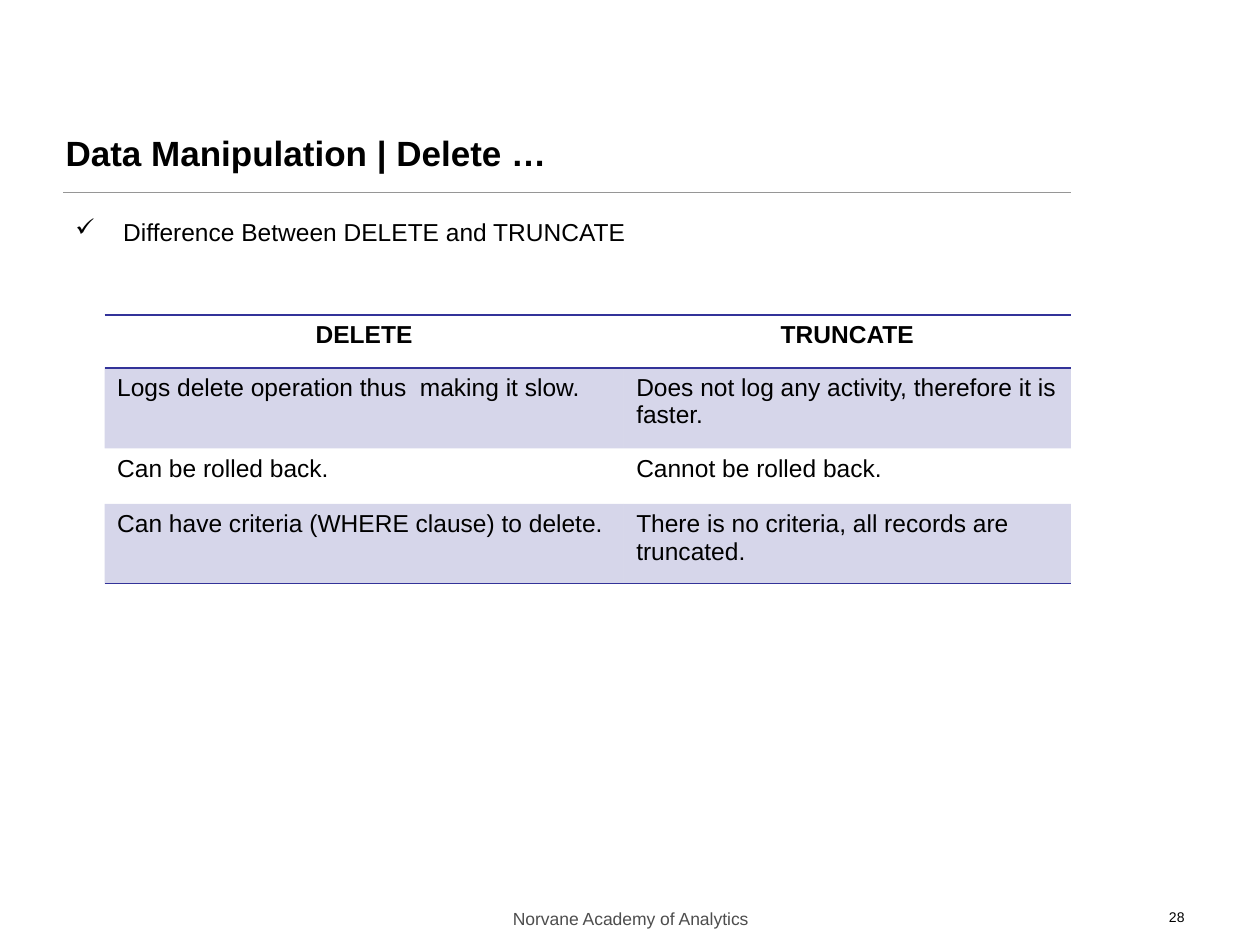
from dataclasses import dataclass

from lxml import etree
from pptx import Presentation
from pptx.dml.color import RGBColor
from pptx.enum.shapes import MSO_CONNECTOR
from pptx.enum.text import MSO_ANCHOR, MSO_AUTO_SIZE, PP_ALIGN
from pptx.oxml.ns import qn
from pptx.util import Inches, Pt

LEFT, MID, RIGHT = PP_ALIGN.LEFT, PP_ALIGN.CENTER, PP_ALIGN.RIGHT
TOP, MIDDLE = MSO_ANCHOR.TOP, MSO_ANCHOR.MIDDLE
STRAIGHT = MSO_CONNECTOR.STRAIGHT
FIXED = MSO_AUTO_SIZE.NONE
PLAIN = "{2D5ABB26-0587-4C30-8999-92F81FD0307C}"  # no style, no grid


@dataclass(frozen=True)
class Theme:
    font: str = "Arial"
    ink: str = "000000"
    soft: str = "4D4D4D"
    rule: str = "969696"
    accent: str = "333399"
    tint: int = 20  # percent opacity of shaded rows
    head: int = 20
    body: int = 14
    foot: int = 10
    page: int = 8


T = Theme()
COLS = [4.12, 3.55]
HEIGHTS = [0.42, 0.64, 0.44, 0.63]
ROWS = [
    ("DELETE", "TRUNCATE"),
    ("Logs delete operation thus  making it slow.",
     "Does not log any activity, therefore it is faster."),
    ("Can be rolled back.", "Cannot be rolled back."),
    ("Can have criteria (WHERE clause) to delete.",
     "There is no criteria, all records are truncated."),
]


def write(frame, text, size=T.body, color=T.ink, bold=False, align=LEFT):
    para = frame.paragraphs[0]
    para.alignment = align
    run = para.add_run()
    run.text = text
    font = run.font
    font.name, font.size, font.bold = T.font, Pt(size), bold
    font.color.rgb = RGBColor.from_string(color)
    return para


def add_text(slide, box, text, **form):
    frame = slide.shapes.add_textbox(*map(Inches, box)).text_frame
    frame.word_wrap = True
    return write(frame, text, **form)


def add_title(slide, box, text):
    title = slide.shapes.title
    title.left, title.top, title.width, title.height = map(Inches, box)
    frame = title.text_frame
    frame.auto_size = FIXED
    frame.vertical_anchor = MIDDLE
    write(frame, text, size=T.head, bold=True)


def add_rule(slide, left, top, width):
    line = slide.shapes.add_connector(
        STRAIGHT, Inches(left), Inches(top), Inches(left + width), Inches(top))
    line.line.color.rgb = RGBColor.from_string(T.rule)
    line.line.width = Pt(0.75)
    etree.SubElement(line._element.spPr, qn("a:effectLst"))


def add_point(slide, box, text, mark="✓", indent=0.38):
    para = add_text(slide, box, text)
    props = para._p.get_or_add_pPr()
    props.set("marL", str(Inches(indent)))
    props.set("indent", str(-Inches(indent)))
    etree.SubElement(props, qn("a:buChar"), char=mark)


def add_color(parent, color):
    fill = etree.SubElement(parent, qn("a:solidFill"))
    return etree.SubElement(fill, qn("a:srgbClr"), val=color)


def style_cell(cell, edges, shade):
    props = cell._tc.get_or_add_tcPr()
    for edge in edges:
        line = etree.SubElement(props, qn(f"a:{edge}"), w=str(Pt(1)))
        add_color(line, T.accent)
    if shade:
        color = add_color(props, T.accent)
        etree.SubElement(color, qn("a:alpha"), val=str(T.tint * 1000))
    else:
        etree.SubElement(props, qn("a:noFill"))


def add_grid(slide, left, top, rows):
    box = map(Inches, (left, top, sum(COLS), sum(HEIGHTS)))
    table = slide.shapes.add_table(len(rows), len(COLS), *box).table
    table.horz_banding = False
    table._tbl.tblPr.find(qn("a:tableStyleId")).text = PLAIN
    for col, width in zip(table.columns, COLS):
        col.width = Inches(width)
    for i, (row, height) in enumerate(zip(rows, HEIGHTS)):
        table.rows[i].height = Inches(height)
        first, last = i == 0, i == len(rows) - 1
        edges = ["lnT", "lnB"] if first else ["lnB"] if last else []
        for j, text in enumerate(row):
            cell = table.cell(i, j)
            cell.vertical_anchor = TOP
            write(cell.text_frame, text, bold=first,
                  align=MID if first else LEFT)
            style_cell(cell, edges, shade=i % 2 == 1)


def add_footer(slide, top, text, page):
    add_text(slide, (3.42, top, 3.17, 0.25), text,
             size=T.foot, color=T.soft, align=MID)
    add_text(slide, (7.17, top, 2.33, 0.25), page, size=T.page, align=RIGHT)


def main():
    deck = Presentation()
    deck.slide_width, deck.slide_height = Inches(10), Inches(7.5)
    slide = deck.slides.add_slide(deck.slide_layouts[5])
    add_rule(slide, 0.5, 1.53, 8)
    add_point(slide, (0.5, 1.67, 9, 0.4),
              "Difference Between DELETE and TRUNCATE")
    add_footer(slide, 7.16, "Norvane Academy of Analytics", "28")
    add_grid(slide, 0.83, 2.5, ROWS)
    add_title(slide, (0.42, 0.9, 6.92, 0.62), "Data Manipulation | Delete …")
    deck.save("out.pptx")


if __name__ == "__main__":
    main()
